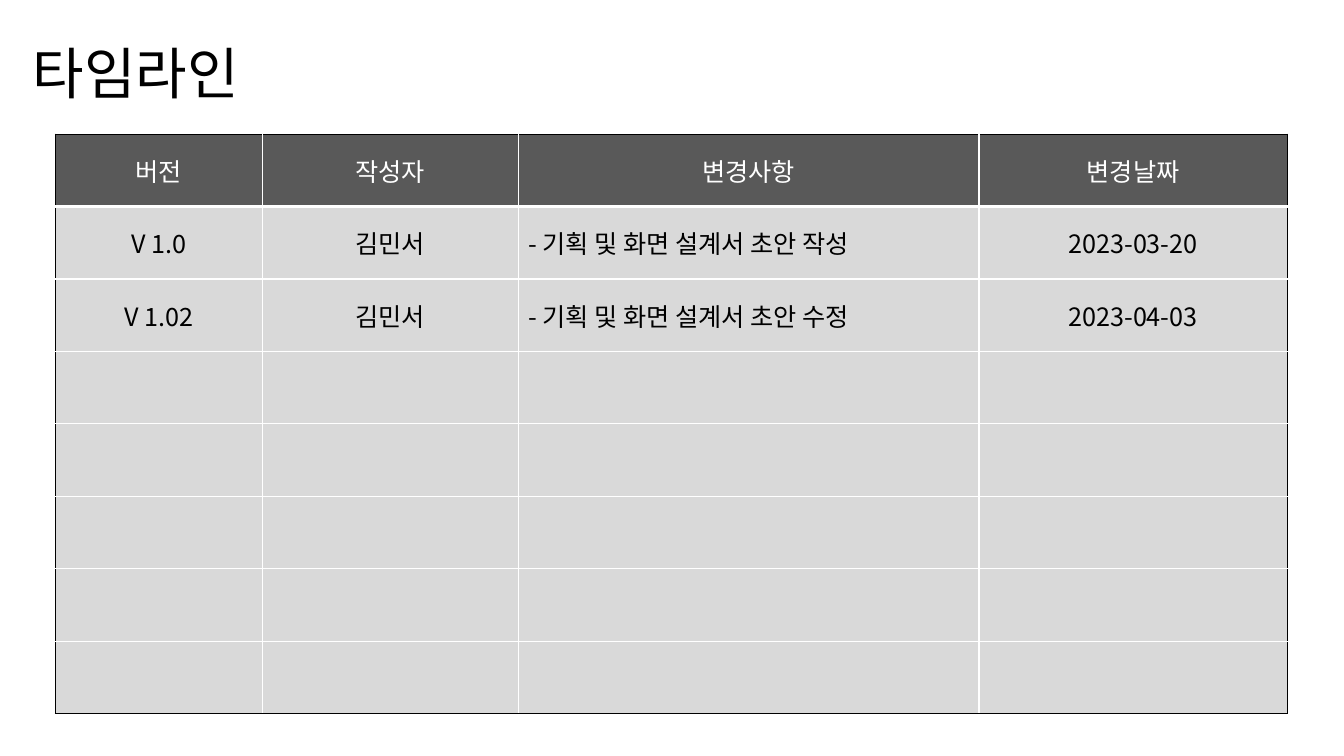
import pptx
import pptx.dml.color
import pptx.enum.text
import pptx.oxml
import pptx.oxml.ns
import pptx.util
from lxml import etree

Cm, Pt = pptx.util.Cm, pptx.util.Pt
RGBColor = pptx.dml.color.RGBColor
ALIGN = pptx.enum.text.PP_ALIGN
MIDDLE = pptx.enum.text.MSO_ANCHOR.MIDDLE
qn = pptx.oxml.ns.qn

FONT = "Noto Sans CJK KR"
BLACK = RGBColor(0x00, 0x00, 0x00)
WHITE = RGBColor(0xFF, 0xFF, 0xFF)
HEADER_GRAY = RGBColor(0x59, 0x59, 0x59)
BODY_GRAY = RGBColor(0xD9, 0xD9, 0xD9)

TITLE_BOX = (0.58, 0.84, 9.17, 2.03)
TABLE_BOX = (1.4, 3.38, 31.04, 14.6)
COLUMN_WIDTHS = (5.21, 6.45, 11.61, 7.77)
ROW_COUNT = 8
CHANGE_COLUMN = 2
HISTORY = [
    ("버전", "작성자", "변경사항", "변경날짜"),
    ("V 1.0", "김민서", "- 기획 및 화면 설계서 초안 작성", "2023-03-20"),
    ("V 1.02", "김민서", "- 기획 및 화면 설계서 초안 수정", "2023-04-03"),
]


def write_text(para, text, size, color):
    span = para.add_run()
    span.text = text
    for name, value in {"name": FONT, "size": Pt(size)}.items():
        setattr(span.font, name, value)
    span.font.color.rgb = color
    east_asian = etree.SubElement(span.font._element, qn("a:ea"))
    east_asian.set("typeface", FONT)


def set_borders(cell, borders):
    """Draw the sides, given as {tag: (color, points)}, ahead of the fill."""
    properties = cell._tc.get_or_add_tcPr()
    for position, (side, (color, width)) in enumerate(borders.items()):
        line = etree.Element(qn("a:" + side), w=str(Pt(width)))
        fill = etree.SubElement(line, qn("a:solidFill"))
        etree.SubElement(fill, qn("a:srgbClr"), val=str(color))
        properties.insert(position, line)


def add_title(page, box, text):
    title = page.shapes.add_textbox(*map(Cm, box))
    title.text_frame.word_wrap = True
    write_text(title.text_frame.paragraphs[0], text, 40, BLACK)


def add_history_table(page, box, history):
    last_row, last_column = ROW_COUNT - 1, len(COLUMN_WIDTHS) - 1
    frame = page.shapes.add_table(ROW_COUNT, len(COLUMN_WIDTHS), *map(Cm, box))
    table = frame.table
    for column, width in zip(table.columns, COLUMN_WIDTHS):
        column.width = Cm(width)
    for row in table.rows:
        row.height = Cm(box[3] / ROW_COUNT)

    for r in range(ROW_COUNT):
        for c in range(len(COLUMN_WIDTHS)):
            cell = table.cell(r, c)
            cell.vertical_anchor = MIDDLE
            cell.fill.solid()
            cell.fill.fore_color.rgb = BODY_GRAY if r else HEADER_GRAY
            # Black outer frame, white inner grid, heavy rule under the header
            set_borders(cell, {
                "lnL": (WHITE if c else BLACK, 1),
                "lnR": (BLACK if c == last_column else WHITE, 1),
                "lnT": (WHITE if r else BLACK, 1),
                "lnB": (BLACK if r == last_row else WHITE, 1 if r else 3),
            })
            if r < len(history):
                para = cell.text_frame.paragraphs[0]
                is_change = r > 0 and c == CHANGE_COLUMN
                para.alignment = ALIGN.LEFT if is_change else ALIGN.CENTER
                write_text(para, history[r][c], 18, BLACK if r else WHITE)


def main():
    deck = pptx.Presentation()
    deck.slide_width, deck.slide_height = Cm(33.87), Cm(19.05)
    page = deck.slides.add_slide(deck.slide_layouts[6])
    add_history_table(page, TABLE_BOX, HISTORY)
    add_title(page, TITLE_BOX, "타임라인")
    deck.save("out.pptx")


if __name__ == "__main__":
    main()
